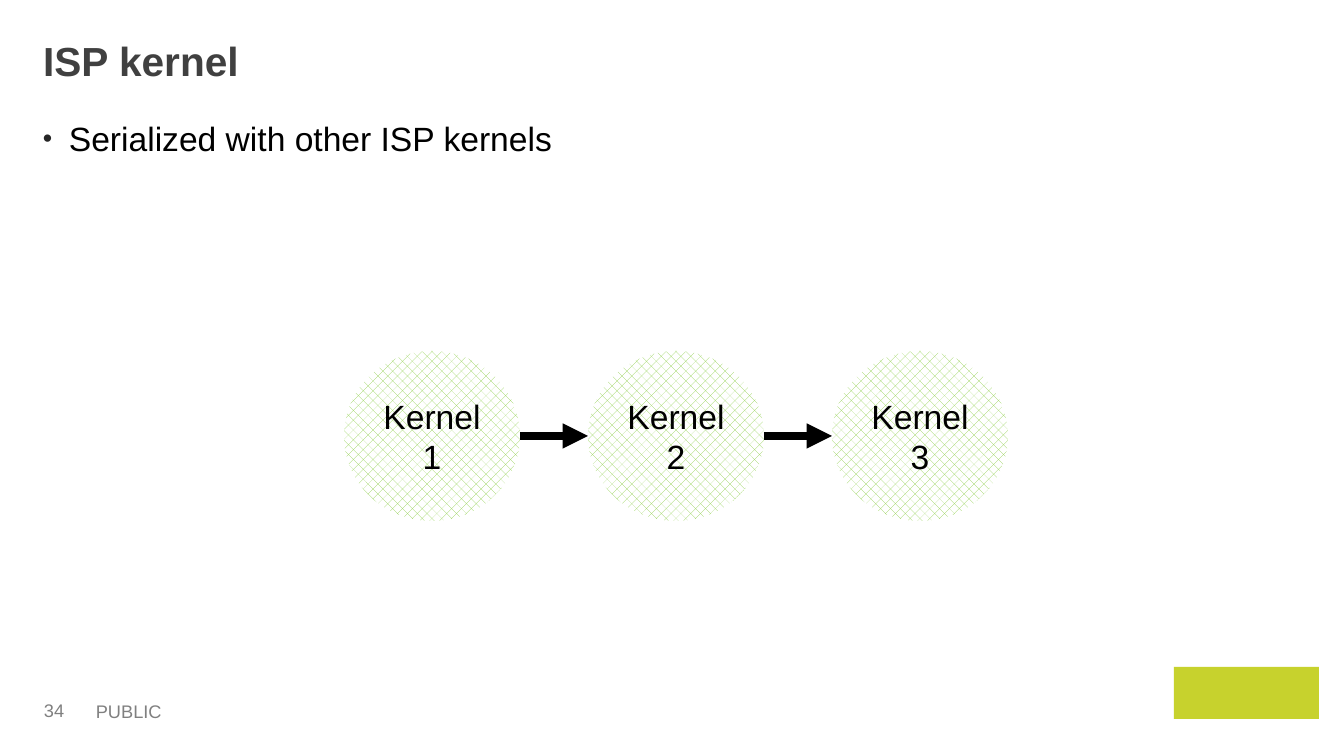
"""Build the ISP kernel slide: three kernels run one after another."""
from lxml import etree
from pptx import Presentation
from pptx.dml.color import RGBColor
from pptx.enum import dml, shapes, text
from pptx.oxml.ns import qn

PX = 914400 / 100.8
BLACK = RGBColor(0x00, 0x00, 0x00)
WHITE = RGBColor(0xFF, 0xFF, 0xFF)
DARK = RGBColor(0x40, 0x40, 0x40)
GRAY = RGBColor(0x80, 0x80, 0x80)
GREEN = RGBColor(0x92, 0xD0, 0x50)
LIME = RGBColor(0xC7, 0xD2, 0x2D)


def px(*sizes):
    """Turn pixel lengths into EMU."""
    return [round(size * PX) for size in sizes]


def write(shape, words, size, color, align=text.PP_ALIGN.LEFT,
          anchor=text.MSO_ANCHOR.TOP, bold=False):
    """Put one formatted paragraph in a shape and return the paragraph."""
    frame = shape.text_frame
    frame.text = words
    frame.word_wrap = True
    frame.auto_size = text.MSO_AUTO_SIZE.NONE
    frame.vertical_anchor = anchor
    para = frame.paragraphs[0]
    para.alignment = align
    font = para.runs[0].font
    font.name = "Arial"
    font.size = round(size * 12700)
    font.bold = bold
    font.color.rgb = color
    return para


deck = Presentation()
deck.slide_width, deck.slide_height = px(1344, 756)
slide = deck.slides.add_slide(deck.slide_layouts[5])
parts = slide.shapes

title = parts.title
title.left, title.top, title.width, title.height = px(33, 31, 1285, 73)
write(title, "ISP kernel", 29, DARK, bold=True)

body = parts.add_textbox(*px(33, 113, 1285, 514))
para = write(body, "Serialized with other ISP kernels", 24, BLACK)
props = para._p.get_or_add_pPr()
indent = px(26)[0]
props.set("marL", str(indent))
props.set("indent", str(-indent))
color = etree.SubElement(props, qn("a:buClr"))
etree.SubElement(color, qn("a:srgbClr"), val="262626")
etree.SubElement(props, qn("a:buSzPct"), val="80000")
etree.SubElement(props, qn("a:buFont"), typeface="Arial")
etree.SubElement(props, qn("a:buChar"), char="•")

left, top, wide, high, step = 344, 351, 176, 170, 244
for i in range(3):
    x = left + i * step
    node = parts.add_shape(shapes.MSO_SHAPE.OVAL, *px(x, top, wide, high))
    node.shadow.inherit = False
    node.fill.patterned()
    node.fill.pattern = dml.MSO_PATTERN.PERCENT_30
    node.fill.fore_color.rgb = GREEN
    node.fill.back_color.rgb = WHITE
    node.line.fill.background()
    write(node, f"Kernel {i + 1}", 24, BLACK, text.PP_ALIGN.CENTER,
          text.MSO_ANCHOR.MIDDLE)
    if i:
        mid = top + high // 2
        arrow = parts.add_connector(shapes.MSO_CONNECTOR.STRAIGHT,
                                    *px(x - step + wide, mid, x, mid))
        arrow.line.color.rgb = BLACK
        arrow.line.width = 6 * 12700
        etree.SubElement(arrow.line._get_or_add_ln(), qn("a:tailEnd"),
                         type="triangle")
        etree.SubElement(arrow._element.spPr, qn("a:effectLst"))

label = parts.add_textbox(*px(86, 695, 401, 34))
write(label, "PUBLIC", 13, GRAY)

number = parts.add_textbox(*px(37, 695, 66, 30))
write(number, "34", 13, GRAY, anchor=text.MSO_ANCHOR.MIDDLE)
frame = number.text_frame
frame.margin_left, frame.margin_right = px(7, 7)
frame.margin_top, frame.margin_bottom = px(4, 4)

badge = parts.add_shape(shapes.MSO_SHAPE.RECTANGLE, *px(1174, 667, 145, 52))
badge.shadow.inherit = False
badge.fill.solid()
badge.fill.fore_color.rgb = LIME
badge.line.fill.background()

deck.save("out.pptx")
